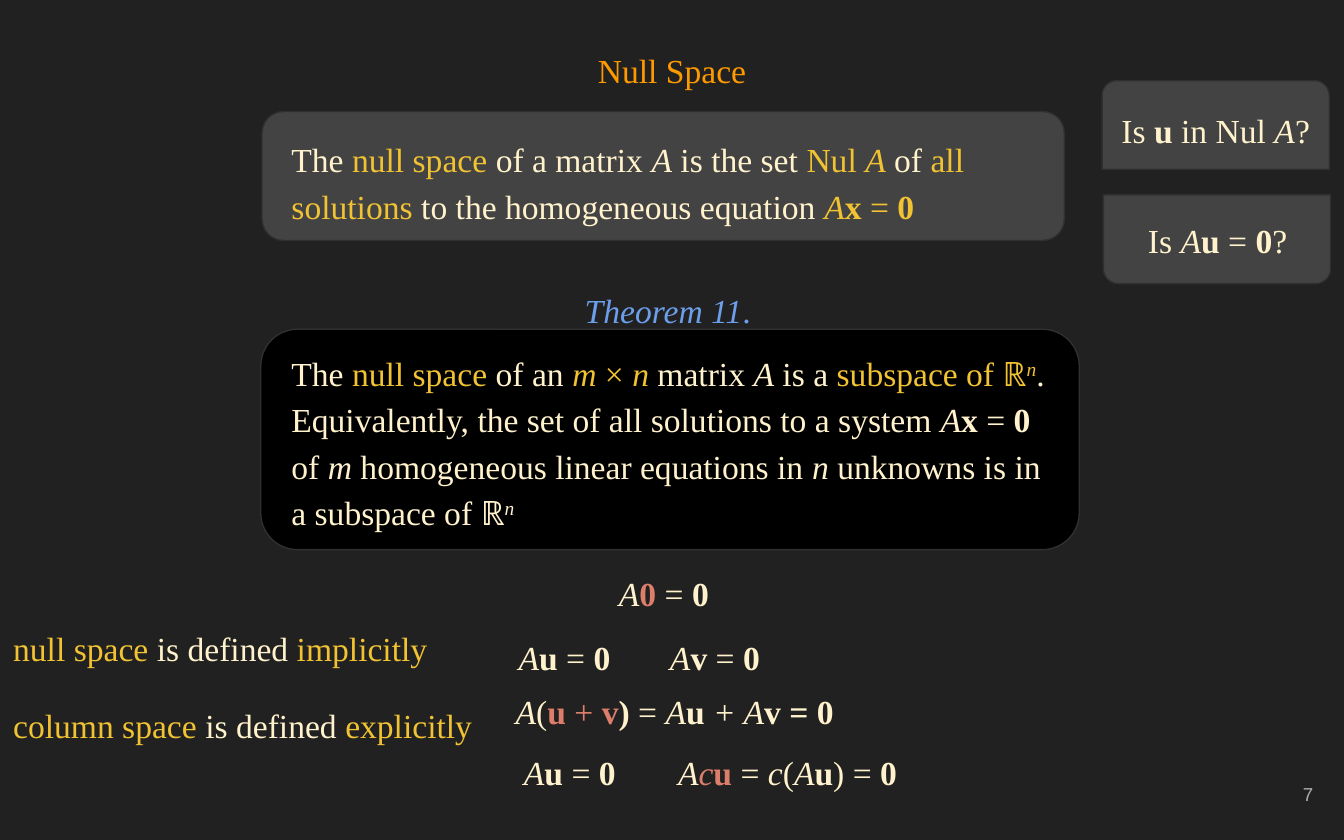
from pptx import Presentation
from pptx.dml.color import RGBColor
from pptx.enum import shapes, text
from pptx.util import Inches, Pt

SERIF = "Times New Roman"
CREAM, GOLD, ROSE = "FFF2CC", "F1C232", "DD7E6B"
GREY, BLACK, OUTLINE = "434343", "000000", "303030"
ROUND = shapes.MSO_SHAPE.ROUNDED_RECTANGLE
TAB = shapes.MSO_SHAPE.ROUND_2_SAME_RECTANGLE
CENTER, RIGHT = text.PP_ALIGN.CENTER, text.PP_ALIGN.RIGHT
MIDDLE = text.MSO_ANCHOR.MIDDLE

# Style letters: i italic, b bold, s superscript, g gold, r rose
HEADING = [("Null Space", "")]
THEOREM_NAME = [("Theorem 11", "i"), (". ", "")]
DEFINITION = [
    ("The ", ""), ("null space", "g"), (" of a matrix ", ""), ("A", "i"),
    (" is the set ", ""), ("Nul ", "g"), ("A", "gi"), (" of ", ""),
    ("all solutions", "g"), (" to the homogeneous equation ", ""),
    ("A", "gi"), ("x", "gb"), (" = ", "g"), ("0", "gb"),
]
THEOREM = [
    [("The ", ""), ("null space", "g"), (" of an ", ""), ("m ", "gi"),
     ("× ", "g"), ("n", "gi"), (" matrix ", ""), ("A", "i"), (" is a ", ""),
     ("subspace of ℝ", "g"), ("n", "gis"), (".", "")],
    [("Equivalently, the set of all solutions to a system ", ""),
     ("A", "i"), ("x", "b"), (" = ", ""), ("0", "b"), (" of ", ""), ("m", "i"),
     (" homogeneous linear equations in ", ""), ("n", "i"),
     (" unknowns is in a subspace of ℝ", ""), ("n", "is")],
]
IS_ZERO = [(" = ", ""), ("0", "b")]
AU = [("A", "i"), ("u", "b")]
AV = [("A", "i"), ("v", "b")]
EQUATIONS = [
    (4.42, 4.19, 1.04, [("A", "i"), ("0", "rb")] + IS_ZERO),
    (3.68, 4.67, 1.04, AU + IS_ZERO),
    (4.8, 4.67, 1.04, AV + IS_ZERO),
    (3.72, 5.07, 2.6, [("A", "i"), ("(", ""), ("u ", "rb"), ("+ ", "r"),
                       ("v", "rb"), (")", "b"), (" = ", "")] + AU
     + [(" + A", "i"), ("v = 0", "b")]),
    (3.72, 5.52, 1.04, AU + IS_ZERO),
    (4.91, 5.52, 1.9, [("A", "i"), ("c", "ri"), ("u", "rb"), (" = ", ""),
                       ("c", "i"), ("(", "")] + AU + [(")", "")] + IS_ZERO),
]
CONTRAST = [
    [(space, "g"), ("is defined", ""), (manner, "g")]
    for space, manner in [("null space ", " implicitly"),
                          ("column space ", " explicitly")]
]
QUESTION = [("Is ", ""), ("u", "b"), (" in Nul ", ""), ("A", "i"), ("?", "")]
TEST = [("Is ", "")] + AU + IS_ZERO + [("?", "")]


def color(value):
    return RGBColor.from_string(value)


def add_panel(kind, place, fill, rotation=0):
    panel = page.shapes.add_shape(kind, *map(Inches, place))
    panel.shadow.inherit = False
    panel.adjustments[0] = 0.167
    panel.rotation = rotation
    panel.fill.solid()
    panel.fill.fore_color.rgb = color(fill)
    panel.line.color.rgb = color(OUTLINE)
    panel.line.width = Pt(0.75)


def add_text(place, paragraphs, align=None, anchor=text.MSO_ANCHOR.TOP,
             base=CREAM, size=18, font=SERIF, spacing=1.15, gap=0):
    box = page.shapes.add_textbox(*map(Inches, place))
    frame = box.text_frame
    frame.word_wrap = True
    frame.vertical_anchor = anchor
    frame.margin_left = frame.margin_right = Inches(0.1)
    frame.margin_top = frame.margin_bottom = Inches(0.1)
    for index, spans in enumerate(paragraphs):
        para = frame.add_paragraph() if index else frame.paragraphs[0]
        para.alignment = align
        para.line_spacing = spacing
        if index:
            para.space_before = Pt(gap)
        for words, style in spans:
            span = para.add_run()
            span.text = words
            span.font.name = font
            span.font.size = Pt(size)
            span.font.bold = "b" in style
            span.font.italic = "i" in style
            tone = GOLD if "g" in style else ROSE if "r" in style else base
            span.font.color.rgb = color(tone)
            if "s" in style:
                span._r.get_or_add_rPr().set("baseline", "30000")


deck = Presentation()
deck.slide_width, deck.slide_height = Inches(10), Inches(6.25)
page = deck.slides.add_slide(deck.slide_layouts[6])
page.background.fill.solid()
page.background.fill.fore_color.rgb = color("212121")

add_text((9.27, 5.67, 0.6, 0.48), [[("7", "")]], align=RIGHT, anchor=MIDDLE,
         base="ADADAD", size=10, font="Arial", spacing=1)
add_text((0.34, 0.23, 9.32, 0.48), [HEADING], align=CENTER, base="FF9900")

add_panel(ROUND, (1.95, 0.83, 5.97, 0.96), GREY)
add_text((2.07, 0.89, 5.75, 0.84), [DEFINITION])

add_text((1.38, 2.02, 7.24, 0.58), [THEOREM_NAME], align=CENTER,
         anchor=MIDDLE, base="6D9EEB", spacing=1)
add_panel(ROUND, (1.94, 2.45, 6.09, 1.64), BLACK)
add_text((2.07, 2.48, 5.83, 1.49), THEOREM)

for left, top, width, equation in EQUATIONS:
    add_text((left, top, width, 0.4), [equation], align=CENTER, anchor=MIDDLE)
add_text((0, 4.53, 3.67, 0.84), CONTRAST, gap=16)

add_panel(TAB, (8.2, 0.6, 1.69, 0.66), GREY)
add_text((8.2, 0.67, 1.69, 0.59), [QUESTION], align=CENTER)
add_panel(TAB, (8.21, 1.45, 1.69, 0.66), GREY, rotation=180)
add_text((8.41, 1.49, 1.3, 0.59), [TEST], align=CENTER)

deck.save("out.pptx")
